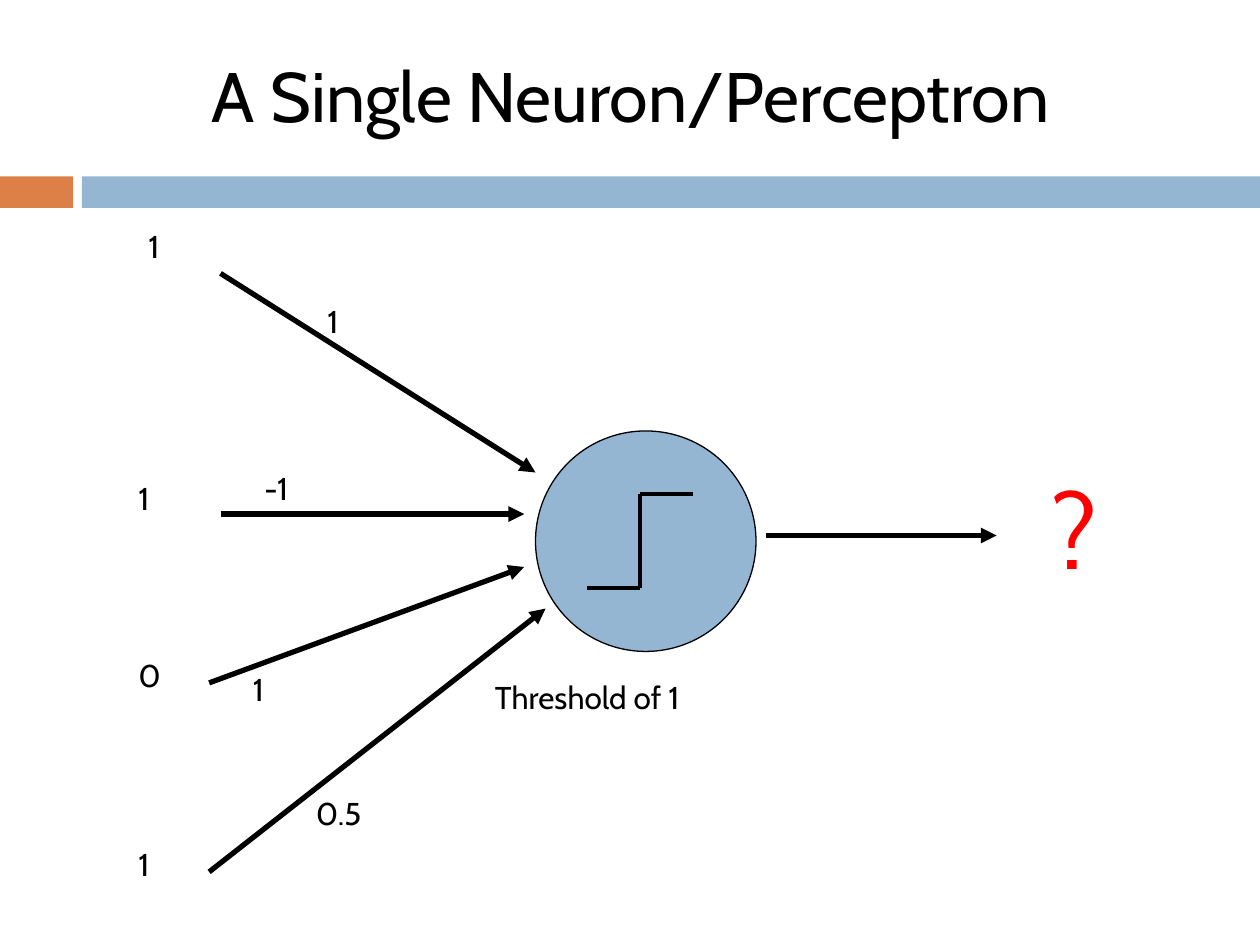
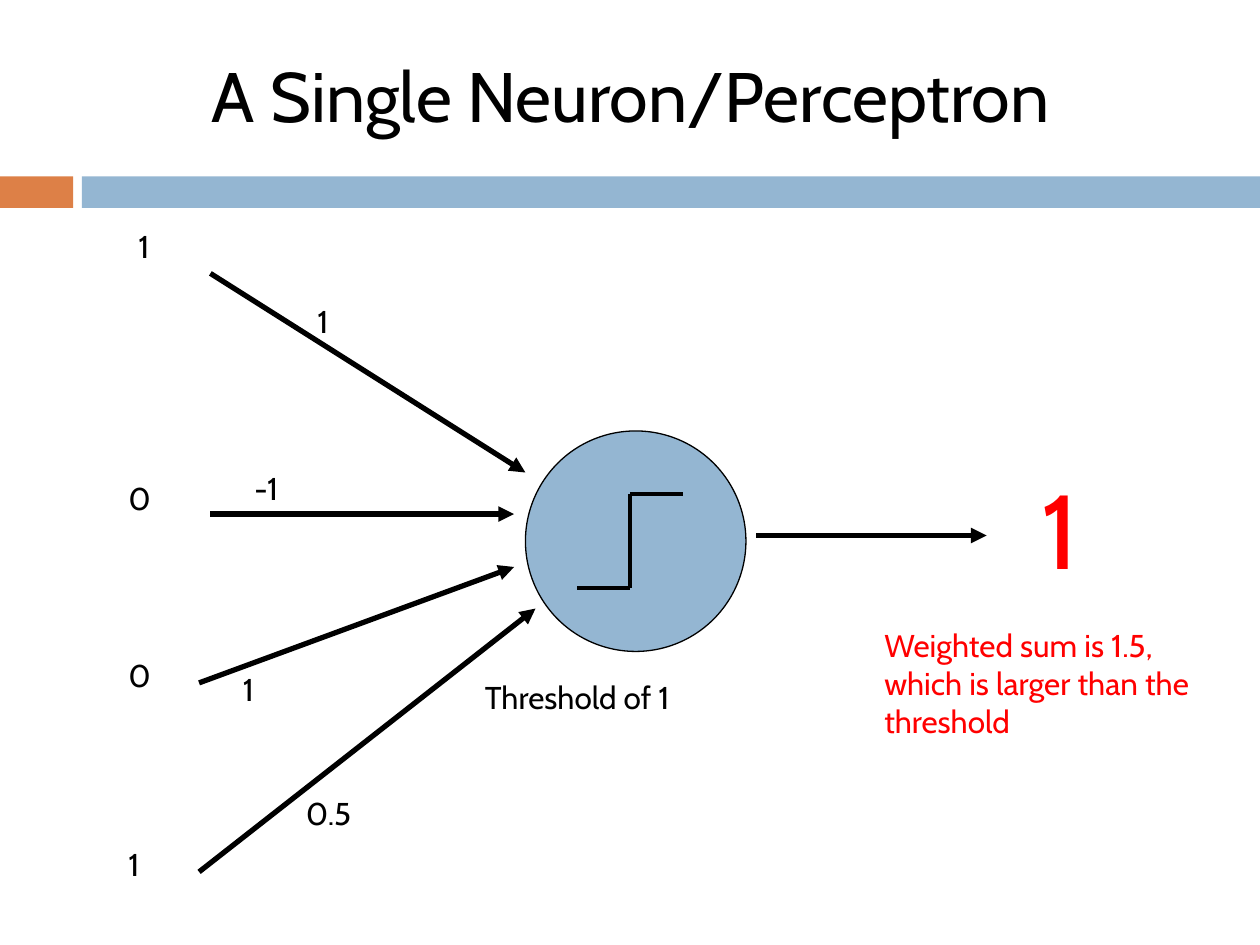
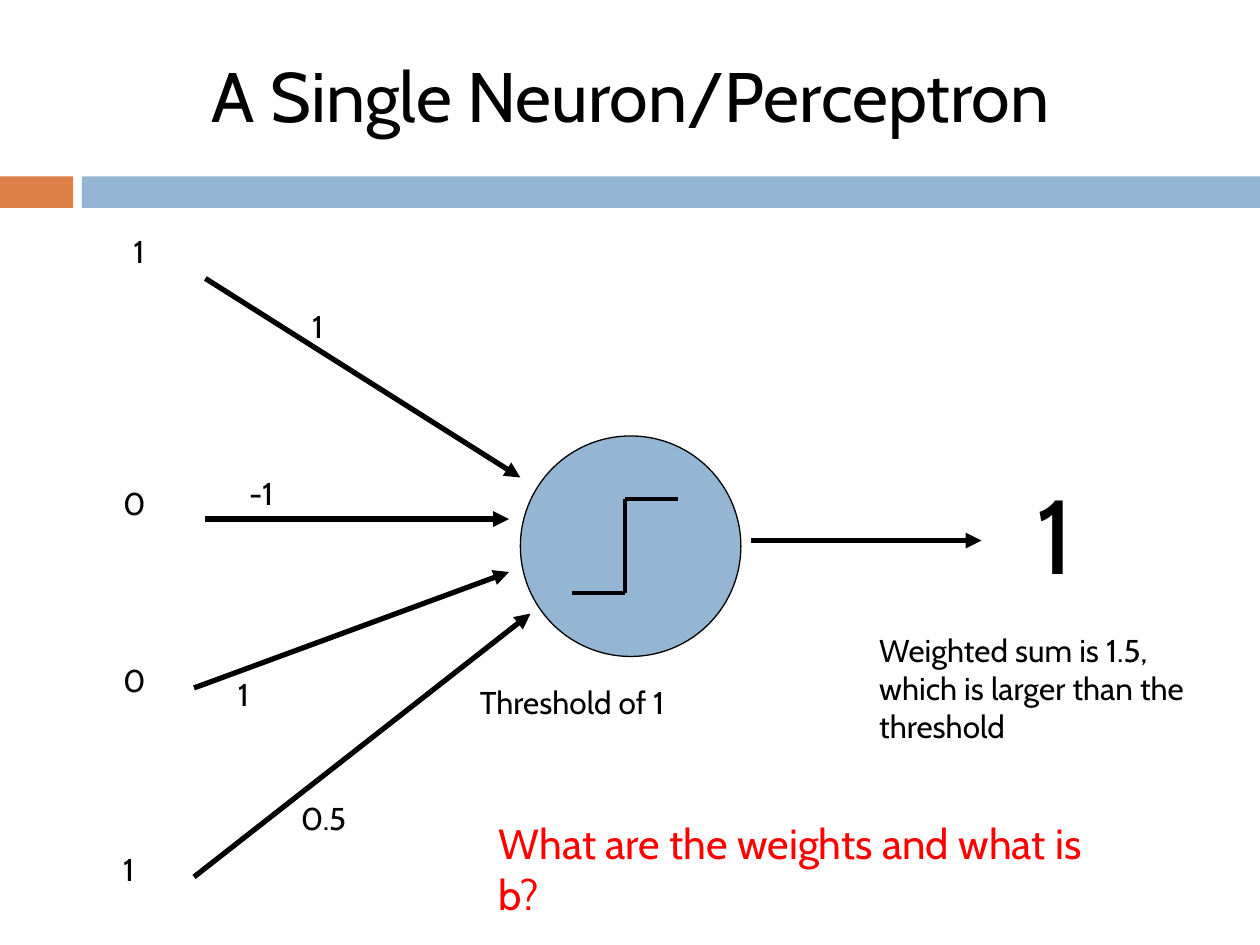
from lxml.etree import SubElement
from pptx import Presentation
from pptx.dml.color import RGBColor
from pptx.enum.shapes import MSO_CONNECTOR as Connector, MSO_SHAPE as Shape
from pptx.enum.text import MSO_AUTO_SIZE as AutoSize, PP_ALIGN as Align
from pptx.oxml.ns import qn
from pptx.util import Inches, Pt

FONT = "Cabin"
BLACK, RED, BLUE, ORANGE = "000000", "FF0000", "94B6D2", "DD8047"
TITLE = "A Single Neuron/Perceptron"
THRESHOLD = "Threshold of 1"
EXPLANATION = "Weighted sum is 1.5, which is larger than the threshold"
QUESTION = "What are the weights and what is b?"

BANDS = [(0, 0.58, ORANGE), (0.65, 9.35, BLUE)]
INPUT_SPOTS = [(1, 1.75, 1.08), (0.92, 3.75, 0.67), (0.92, 5.16, 0.67), (0.92, 6.66, 0.67)]
WEIGHTS = [("1", 2.42, 2.35), ("-1", 1.92, 3.67), ("1", 1.83, 5.27), ("0.5", 2.33, 6.25)]
ARROWS = [
    ((6, 4.25), (7.83, 4.25)),
    ((1.67, 2.17), (4.17, 3.75)),
    ((1.67, 4.08), (4.08, 4.08)),
    ((1.58, 5.42), (4.08, 4.5)),
    ((1.58, 6.92), (4.25, 4.83)),
]
STEP = [(4.58, 4.67), (5, 4.67), (5, 3.92), (5.42, 3.92)]

SLIDES = [
    {"shift": (0.08, 0), "inputs": "1101", "output": ("?", RED)},
    {"shift": (0, 0), "inputs": "1001", "output": ("1", RED), "explanation": (1.72, RED)},
    {"shift": (-0.04, 0.04), "inputs": "1001", "output": ("1", BLACK),
     "explanation": (1.01, BLACK), "question": QUESTION},
]


def color(value):
    return RGBColor.from_string(value)


def add_text(shapes, text, left, top, width, height=0.5, size=18, fill=BLACK, align=Align.LEFT):
    box = shapes.add_textbox(Inches(left), Inches(top), Inches(width), Inches(height))
    frame = box.text_frame
    frame.word_wrap = True
    frame.auto_size = AutoSize.SHAPE_TO_FIT_TEXT
    para = frame.paragraphs[0]
    para.text = text
    para.alignment = align
    para.font.name = FONT
    para.font.size = Pt(size)
    para.font.color.rgb = color(fill)


def add_filled(shapes, kind, left, top, width, height, fill):
    shape = shapes.add_shape(kind, Inches(left), Inches(top), Inches(width), Inches(height))
    shape.shadow.inherit = False
    shape.fill.solid()
    shape.fill.fore_color.rgb = color(fill)
    shape.line.fill.background()
    return shape


def add_line(shapes, start, end, width, arrow=False):
    ends = [Inches(value) for value in (*start, *end)]
    connector = shapes.add_connector(Connector.STRAIGHT, *ends)
    connector.line.color.rgb = color(BLACK)
    connector.line.width = Pt(width)
    if arrow:
        SubElement(connector.line._get_or_add_ln(), qn("a:tailEnd"), type="triangle")
    SubElement(connector._element.spPr, qn("a:effectLst"))


def add_neuron(page, dx, dy):
    def moved(point):
        return point[0] + dx, point[1] + dy

    network = page.shapes.add_group_shape().shapes
    body = add_filled(network, Shape.OVAL, *moved((4.17, 3.42)), 1.75, 1.75, BLUE)
    body.line.color.rgb = color(BLACK)
    body.line.width = Pt(0.75)
    for start, end in ARROWS:
        add_line(network, moved(start), moved(end), 3, arrow=True)
    for weight, left, top in WEIGHTS:
        add_text(network, weight, *moved((left, top)), 1.5, 0.4)

    step = page.shapes.add_group_shape().shapes
    for start, end in zip(STEP, STEP[1:]):
        add_line(step, moved(start), moved(end), 2.25)


def add_page(deck, content):
    page = deck.slides.add_slide(deck.slide_layouts[6])
    shapes = page.shapes
    dx, dy = content["shift"]
    for left, width, fill in BANDS:
        add_filled(shapes, Shape.RECTANGLE, left, 1.4, width, 0.25, fill)
    add_text(shapes, TITLE, 0.42, 0.37, 9.17, 0.77, size=40, align=Align.CENTER)

    add_neuron(page, dx, dy)
    add_text(shapes, THRESHOLD, 3.75 + dx, 5.33 + dy, 2.75)
    for value, (left, top, width) in zip(content["inputs"], INPUT_SPOTS):
        add_text(shapes, value, left + dx, top + dy, width)

    output, fill = content["output"]
    add_text(shapes, output, 8.17 + dx, 3.64 + dy, 1.5, 1.11, size=60, fill=fill)
    if "explanation" in content:
        height, fill = content["explanation"]
        add_text(shapes, EXPLANATION, 6.92 + dx, 4.92 + dy, 2.67, height, fill=fill)
    if "question" in content:
        add_text(shapes, content["question"], 3.86, 6.44, 5.15, size=24, fill=RED)


def main():
    deck = Presentation()
    deck.slide_width, deck.slide_height = Inches(10), Inches(7.5)
    for content in SLIDES:
        add_page(deck, content)
    deck.save("out.pptx")


if __name__ == "__main__":
    main()
